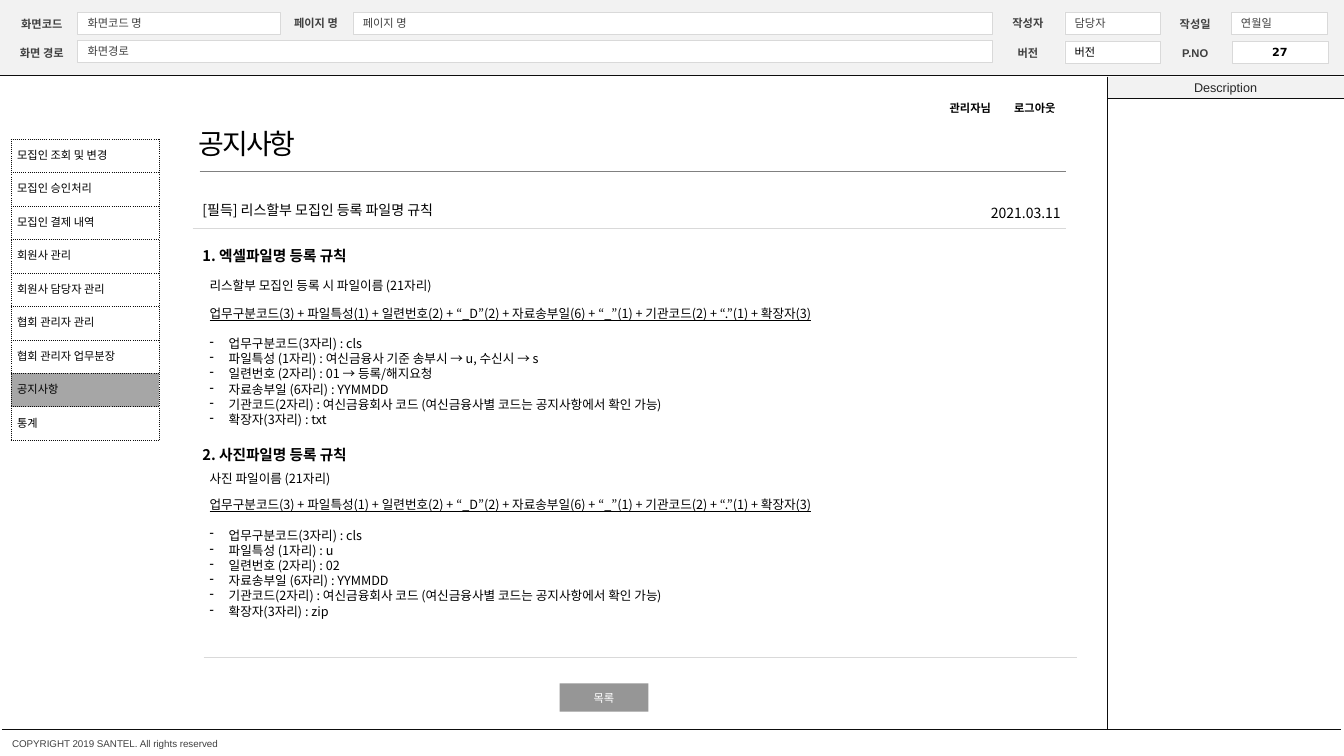
import pptx
import pptx.util
import pptx.dml.color
import pptx.enum.dml
import pptx.enum.shapes
import pptx.enum.text
import pptx.oxml
import pptx.oxml.ns
import lxml.etree

Inches = pptx.util.Inches
ALIGN = pptx.enum.text.PP_ALIGN
ANCHOR = pptx.enum.text.MSO_ANCHOR
KOREAN = "Noto Sans CJK KR"
LINE_RATIO = 1.21
INSET = (0.1, 0.05, 0.1, 0.05)
NO_INSET = (0, 0, 0, 0)


def color(hex_text):
    return pptx.dml.color.RGBColor.from_string(hex_text)


def add_element(parent, tag, **attributes):
    element = lxml.etree.SubElement(parent, pptx.oxml.ns.qn(tag))
    for name, value in attributes.items():
        element.set(name, str(value))
    return element


def write_text(frame, text, size=9, font=KOREAN, ink="000000", bold=False, align=ALIGN.LEFT,
               anchor=ANCHOR.TOP, inset=INSET, wrap=True, spacing=None, underline_first=False,
               bullets_from=None):
    """Each line of the text becomes one paragraph of the frame."""
    frame.word_wrap = wrap
    frame.auto_size = pptx.enum.text.MSO_AUTO_SIZE.NONE
    frame.vertical_anchor = anchor
    frame.margin_left, frame.margin_top, frame.margin_right, frame.margin_bottom = map(Inches, inset)
    for index, line in enumerate(text.split("\n")):
        paragraph = frame.paragraphs[0] if index == 0 else frame.add_paragraph()
        paragraph.alignment = align
        paragraph.line_spacing = pptx.util.Pt(size * LINE_RATIO)
        paragraph.space_before = pptx.util.Pt(0)
        if bullets_from is not None and index >= bullets_from:
            properties = paragraph._p.get_or_add_pPr()
            properties.set("marL", str(Inches(0.19)))
            properties.set("indent", str(-Inches(0.19)))
            add_element(properties, "a:buChar", char="-")
            if index == bullets_from:
                paragraph.space_before = pptx.util.Pt(size * LINE_RATIO)
        run = paragraph.add_run()
        run.text = line
        run.font.size = pptx.util.Pt(size)
        run.font.name = font
        run.font.bold = bold
        run.font.color.rgb = color(ink)
        if underline_first and index == 0:
            run.font.underline = True
        run_properties = run._r.get_or_add_rPr()
        add_element(run_properties, "a:ea", typeface=KOREAN)
        if spacing is not None:
            run_properties.set("spc", str(spacing))


def add_text(slide, text, left, top, width, height, **formatting):
    box = slide.shapes.add_textbox(*map(Inches, (left, top, width, height)))
    write_text(box.text_frame, text, **formatting)


def add_box(slide, left, top, width, height, fill, outline=None, weight=0.25):
    shape = slide.shapes.add_shape(pptx.enum.shapes.MSO_SHAPE.RECTANGLE,
                                   *map(Inches, (left, top, width, height)))
    shape.shadow.inherit = False
    shape.fill.solid()
    shape.fill.fore_color.rgb = color(fill)
    if outline:
        shape.line.color.rgb = color(outline)
        shape.line.width = pptx.util.Pt(weight)
    else:
        shape.line.fill.background()
    return shape


def add_line(slide, x1, y1, x2, y2, ink="0D0D0D", weight=0.25, dotted=True):
    line = slide.shapes.add_connector(pptx.enum.shapes.MSO_CONNECTOR.STRAIGHT,
                                      *map(Inches, (x1, y1, x2, y2)))
    line.line.color.rgb = color(ink)
    line.line.width = pptx.util.Pt(weight)
    if dotted:
        line.line.dash_style = pptx.enum.dml.MSO_LINE.ROUND_DOT
    add_element(line._element.spPr, "a:effectLst")


def build_header(slide, left, top, width, height):
    add_box(slide, left, top, width, height, "F2F2F2")
    # Label, label left and top, field text, field left, top and width
    fields = [
        ("화면코드", 0.06, 0.17, "화면코드 명", 0.77, 0.12, 2.01),
        ("화면 경로", 0.06, 0.46, "화면경로", 0.77, 0.4, 9.07),
        ("페이지 명", 2.78, 0.16, "페이지 명", 3.5, 0.12, 6.34),
        ("작성자", 9.84, 0.16, "담당자", 10.56, 0.12, 0.95),
        ("작성일", 11.5, 0.17, "연월일", 12.21, 0.12, 0.95),
        ("버전", 9.84, 0.46, "버전", 10.56, 0.41, 0.95),
        ("P.NO", 11.5, 0.46, "27", 12.22, 0.41, 0.95),
    ]
    for label, label_left, label_top, value, field_left, field_top, field_width in fields:
        add_text(slide, label, left + label_left, top + label_top, 0.71, 0.13, size=8, font="Arial",
                 ink="404040", bold=True, align=ALIGN.CENTER, inset=NO_INSET)
        field = add_box(slide, left + field_left, top + field_top, field_width, 0.22, "FFFFFF", "D9D9D9")
        if label == "P.NO":
            write_text(field.text_frame, value, size=8, font="DejaVu Sans", bold=True,
                       align=ALIGN.CENTER, anchor=ANCHOR.MIDDLE, inset=NO_INSET)
        else:
            write_text(field.text_frame, value, size=8, font="Arial", anchor=ANCHOR.MIDDLE,
                       ink="000000" if label == "버전" else "404040", inset=(0.1, 0, 0.1, 0))
    add_line(slide, left, top + height, left + width, top + height)


def build_description(slide, left, top, width, height):
    heading = add_box(slide, left, top, width, 0.22, "F2F2F2")
    write_text(heading.text_frame, "Description", font="Arial", ink="262626", align=ALIGN.CENTER,
               anchor=ANCHOR.MIDDLE, wrap=False)
    add_line(slide, left, top + 0.21, left + width, top + 0.21)
    add_line(slide, left, top, left, top + height)


def build_footer(slide, left, top, width):
    add_line(slide, left, top, left + width, top)
    add_text(slide, "COPYRIGHT 2019 SANTEL. All rights reserved", left + 0.1, top + 0.09, 3.65, 0.12,
             size=7, font="Arial", ink="404040", inset=NO_INSET)


def build_menu(slide, left, top, width, height):
    items = ["모집인 조회 및 변경", "모집인 승인처리", "모집인 결제 내역", "회원사 관리", "회원사 담당자 관리",
             "협회 관리자 관리", "협회 관리자 업무분장", "공지사항", "통계"]
    table = slide.shapes.add_table(len(items), 1, *map(Inches, (left, top, width, height))).table
    table.first_row = table.horz_banding = False
    for row, item in enumerate(items):
        table.rows[row].height = Inches(height / len(items))
        cell = table.cell(row, 0)
        write_text(cell.text_frame, item, size=8, font="Arial")
        cell.vertical_anchor = ANCHOR.MIDDLE
        cell.margin_left = Inches(0.06)
        cell.margin_top = cell.margin_right = cell.margin_bottom = Inches(0.02)
        properties = cell._tc.get_or_add_tcPr()
        for side in ("a:lnL", "a:lnR", "a:lnT", "a:lnB"):
            border = add_element(properties, side, w=pptx.util.Pt(0.5))
            add_element(add_element(border, "a:solidFill"), "a:srgbClr", val="0D0D0D")
            add_element(border, "a:prstDash", val="sysDot")
        cell.fill.solid()
        cell.fill.fore_color.rgb = color("A6A6A6" if item == "공지사항" else "FFFFFF")


def build_rule(slide, left, top, heading, intro, intro_offset, list_offset, details):
    kind, serial, extension = details
    add_text(slide, heading, left, top, 1.92, 0.29, size=10.5, bold=True)
    add_text(slide, intro, left + 0.07, top + intro_offset, 2.83, 0.25)
    lines = [
        "업무구분코드(3) + 파일특성(1) + 일련번호(2) + “_D”(2) + 자료송부일(6) + “_”(1) + 기관코드(2) + “.”(1) + 확장자(3)",
        "업무구분코드(3자리) : cls",
        f"파일특성 (1자리) : {kind}",
        f"일련번호 (2자리) : {serial}",
        "자료송부일 (6자리) : YYMMDD",
        "기관코드(2자리) : 여신금융회사 코드 (여신금융사별 코드는 공지사항에서 확인 가능)",
        f"확장자(3자리) : {extension}",
    ]
    add_text(slide, "\n".join(lines), left + 0.07, top + list_offset, 8.59, 1.31,
             underline_first=True, bullets_from=1)


def build_notice(slide, left, top):
    # Page title and account links
    title = slide.shapes.title
    title.left, title.top, title.width, title.height = map(Inches, (left - 0.04, top + 0.24, 2.44, 0.44))
    write_text(title.text_frame, "공지사항", size=20, font="Arial", spacing=-150)
    for link, offset in (("관리자님", 7.41), ("로그아웃", 8.05)):
        add_text(slide, link, left + offset, top, 0.72, 0.24, size=8, bold=True)
    add_line(slide, left + 0.07, top + 0.74, left + 8.66, top + 0.74, "808080", 0.75, False)

    # Subject and date
    add_text(slide, "[필득] 리스할부 모집인 등록 파일명 규칙", left, top + 0.99, 5.32, 0.27, size=10)
    add_text(slide, "2021.03.11", left + 7.82, top + 1.02, 0.93, 0.27, size=10)
    add_line(slide, left, top + 1.31, left + 8.66, top + 1.31, "D9D9D9", 0.75, False)

    # File name rules
    build_rule(slide, left, top + 1.44, "1. 엑셀파일명 등록 규칙", "리스할부 모집인 등록 시 파일이름 (21자리)",
               0.31, 0.58, ("여신금융사 기준 송부시 → u, 수신시 → s", "01 → 등록/해지요청", "txt"))
    build_rule(slide, left, top + 3.41, "2. 사진파일명 등록 규칙", "사진 파일이름 (21자리)",
               0.25, 0.51, ("u", "02", "zip"))

    # List button
    add_line(slide, left + 0.11, top + 5.56, left + 8.77, top + 5.56, "D9D9D9", 0.75, False)
    button = add_box(slide, left + 3.64, top + 5.82, 0.88, 0.28, "969696")
    write_text(button.text_frame, "목록", size=8, ink="FFFFFF", align=ALIGN.CENTER, anchor=ANCHOR.MIDDLE)


def main():
    presentation = pptx.Presentation()
    presentation.slide_width, presentation.slide_height = Inches(13.33), Inches(7.5)
    slide = presentation.slides.add_slide(presentation.slide_layouts[5])
    build_header(slide, 0, 0, 13.33, 0.75)
    build_description(slide, 10.98, 0.76, 2.35, 6.47)
    build_footer(slide, 0.02, 7.23, 13.27)
    build_menu(slide, 0.11, 1.38, 1.47, 2.99)
    build_notice(slide, 1.91, 0.96)
    presentation.save("out.pptx")


if __name__ == "__main__":
    main()
